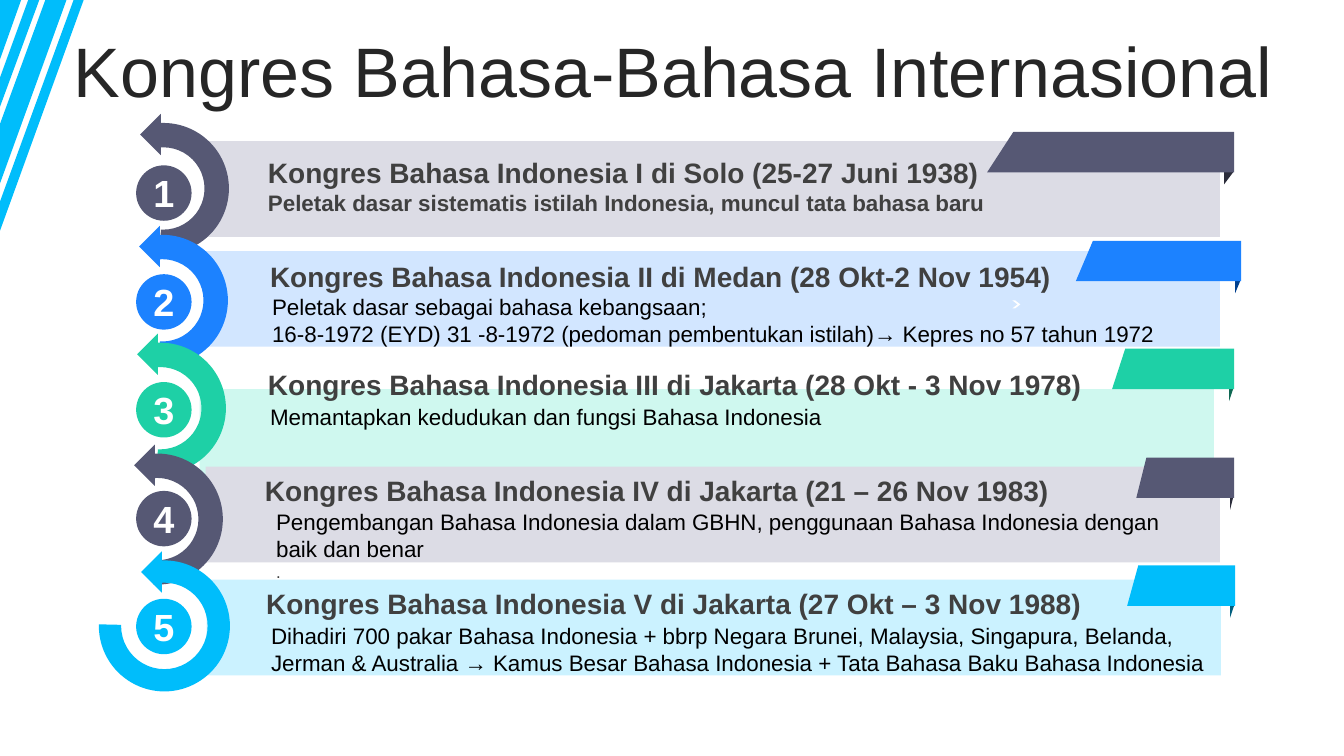
from dataclasses import dataclass
from typing import NamedTuple

from pptx import Presentation
from pptx import util as u
from pptx.dml.color import RGBColor
from pptx.enum import shapes, text

PX = 9144  # EMU in one px, 100 px to the inch
KIND = shapes.MSO_SHAPE


@dataclass(frozen=True)
class Theme:
    font: str = "Arial"
    title: str = "262626"
    head: str = "404040"
    body: str = "000000"
    white: str = "FFFFFF"
    slate: str = "565874"
    blue: str = "1C82FF"
    green: str = "1ED0A6"
    cyan: str = "00BDFB"
    title_pt: int = 50
    badge_pt: int = 27
    head_pt: int = 20
    body_pt: int = 16
    dot_pt: int = 12


T = Theme()
HEAD = dict(size=T.head_pt, color=T.head, bold=True)
LEAD = dict(size=T.body_pt, color=T.head, bold=True)
BODY = dict(size=T.body_pt, color=T.body)
INSET = dict(BODY, indent=5)
DOT = dict(size=T.dot_pt, color=T.head)


class Box(NamedTuple):
    x: int
    y: int
    w: int
    h: int

    def emu(self) -> list[int]:
        return [side * PX for side in self]


class Note(NamedTuple):
    box: Box
    lines: list[tuple[str, dict]]


class Ribbon(NamedTuple):
    left: int
    slant: int
    right: int
    fold: int


@dataclass
class Row:
    color: str
    pale: str
    dark: str
    bar: tuple[int, int]
    arc: tuple[int, int]
    ribbon: Ribbon
    notes: list[Note]
    sweep: tuple[float, float] = (2.031, 0.186)


ROWS = [
    Row(T.slate, "DCDCE5", "2B2C3A", (204, 140), (97, 122),
        Ribbon(979, 1005, 1224, 1214), [
            Note(Box(256, 149, 884, 71), [
                ("Kongres Bahasa Indonesia I di Solo (25-27 Juni 1938)", HEAD),
                ("Peletak dasar sistematis istilah Indonesia, muncul tata bahasa baru", LEAD)])]),
    Row(T.blue, "D2E6FF", "00408E", (204, 249), (96, 233),
        Ribbon(1067, 1084, 1231, 1225), [
            Note(Box(255, 286, 945, 91), [
                ("Peletak dasar sebagai bahasa kebangsaan;", INSET),
                ("16-8-1972 (EYD) 31 -8-1972 (pedoman pembentukan istilah)"
                 "→ Kepres no 57 tahun 1972", INSET)]),
            Note(Box(258, 253, 960, 44), [
                ("Kongres Bahasa Indonesia II di Medan (28 Okt-2 Nov 1954)", HEAD)])]),
    Row(T.green, "CFF8EF", "0F6853", (198, 386), (94, 340),
        Ribbon(1103, 1116, 1224, 1219), [
            Note(Box(253, 395, 943, 37), [
                ("Memantapkan kedudukan dan fungsi Bahasa Indonesia", INSET)]),
            Note(Box(256, 360, 957, 44), [
                ("Kongres Bahasa Indonesia III di Jakarta (28 Okt - 3 Nov 1978)", HEAD)])]),
    Row(T.slate, "DCDCE5", "2B2C3A", (204, 463), (91, 450),
        Ribbon(1127, 1137, 1224, 1220), [
            Note(Box(264, 499, 929, 84), [
                ("Pengembangan Bahasa Indonesia dalam GBHN, penggunaan "
                 "Bahasa Indonesia dengan baik dan benar", BODY),
                (".", DOT)]),
            Note(Box(253, 465, 954, 44), [
                ("Kongres Bahasa Indonesia IV di Jakarta (21 – 26 Nov 1983)", HEAD)])]),
    Row(T.cyan, "CBF2FF", "005E7E", (205, 575), (98, 556),
        Ribbon(1118, 1129, 1225, 1220), [
            Note(Box(254, 612, 957, 64), [
                ("Dihadiri 700 pakar Bahasa Indonesia + bbrp Negara Brunei, Malaysia, "
                 "Singapura, Belanda, Jerman & Australia → Kamus Besar Bahasa Indonesia "
                 "+ Tata Bahasa Baku Bahasa Indonesia", INSET)]),
            Note(Box(254, 577, 939, 44), [
                ("Kongres Bahasa Indonesia V di Jakarta (27 Okt – 3 Nov 1988)", HEAD)])],
        sweep=(54.833, 0.17)),
]

STRIPES = [
    [(73, 0), (83, 0), (0, 229), (0, 200)],
    [(39, 0), (0, 106), (0, 77), (28, 0)],
    [(66, 0), (0, 182), (0, 123), (45, 0)],
    [(0, 0), (21, 0), (0, 59)],
]


def paint(shape, color: str) -> None:
    shape.fill.solid()
    shape.fill.fore_color.rgb = RGBColor.from_string(color)
    shape.line.fill.background()
    shape.shadow.inherit = False


def draw(slide, kind, box: Box, color: str, turn: int = 0, adjust: tuple = ()) -> None:
    shape = slide.shapes.add_shape(kind, *box.emu())
    shape.rotation = turn
    for i, value in enumerate(adjust):
        shape.adjustments[i] = value
    paint(shape, color)


def trace(slide, loops: list, color: str) -> None:
    """Draw closed outlines, given in slide px, as one freeform."""
    pen = slide.shapes.build_freeform(*loops[0][0], scale=PX)
    for i, loop in enumerate(loops):
        if i:
            pen.move_to(*loop[0])
        pen.add_line_segments(loop[1:], close=True)
    paint(pen.convert_to_shape(), color)


def write(para, words: str, *, size: int, color: str, bold: bool = False,
          align=text.PP_ALIGN.LEFT, indent: int = 0, lead: float = 1.0) -> None:
    para.alignment = align
    para.line_spacing = lead
    if indent:
        para._p.get_or_add_pPr().set("marL", str(indent * PX))
    run = para.add_run()
    run.text = words
    run.font.name = T.font
    run.font.size = u.Pt(size)
    run.font.bold = bold
    run.font.color.rgb = RGBColor.from_string(color)


def place(slide, note: Note, anchor=text.MSO_ANCHOR.TOP) -> None:
    frame = slide.shapes.add_textbox(*note.box.emu()).text_frame
    frame.word_wrap = True
    frame.auto_size = text.MSO_AUTO_SIZE.SHAPE_TO_FIT_TEXT
    frame.vertical_anchor = anchor
    for i, (words, style) in enumerate(note.lines):
        write(frame.add_paragraph() if i else frame.paragraphs[0], words, **style)


def add_row(slide, index: int, row: Row) -> None:
    drop = (index * 215 + 1) // 2
    draw(slide, KIND.RECTANGLE, Box(*row.bar, 1006, 95), row.pale)
    draw(slide, KIND.OVAL, Box(135, 164 + drop, 55, 55), row.color)
    badge = dict(size=T.badge_pt, color=T.white, bold=True, align=text.PP_ALIGN.CENTER)
    place(slide, Note(Box(140, 163 + drop, 45, 56), [(str(index + 1), badge)]),
          text.MSO_ANCHOR.MIDDLE)

    x, y = row.arc
    draw(slide, KIND.BLOCK_ARC, Box(x, y, 130, 130), row.color, 90, (104.732, *row.sweep))
    draw(slide, KIND.RIGHT_TRIANGLE, Box(x + 48, y - 3, 29, 29), row.color, 45)
    for note in row.notes:
        place(slide, note)

    left, slant, right, fold = row.ribbon
    top = 131 + drop
    edge, base = right - 1, top + 40
    trace(slide, [[(fold, top + 2), (edge, top + 2), (edge, base), (fold, base + 12)]], row.dark)
    trace(slide, [[(right, top), (slant, top), (left, base), (right, base)]], row.color)


def main() -> None:
    deck = Presentation()
    deck.slide_width, deck.slide_height = 1333 * PX, 750 * PX
    slide = deck.slides.add_slide(deck.slide_layouts.get_by_name("Title Only"))

    title = slide.shapes.title
    title.left, title.top, title.width, title.height = Box(35, 37, 1266, 79).emu()
    title.text_frame.auto_size = text.MSO_AUTO_SIZE.NONE
    title.text_frame.vertical_anchor = text.MSO_ANCHOR.MIDDLE
    write(title.text_frame.paragraphs[0], "Kongres Bahasa-Bahasa Internasional",
          size=T.title_pt, color=T.title, align=text.PP_ALIGN.CENTER, lead=0.8)

    trace(slide, STRIPES, T.cyan)
    for index, row in enumerate(ROWS):
        add_row(slide, index, row)
    draw(slide, KIND.CHEVRON, Box(1004, 298, 8, 8), T.white, adjust=(0.652,))
    deck.save("out.pptx")


if __name__ == "__main__":
    main()
